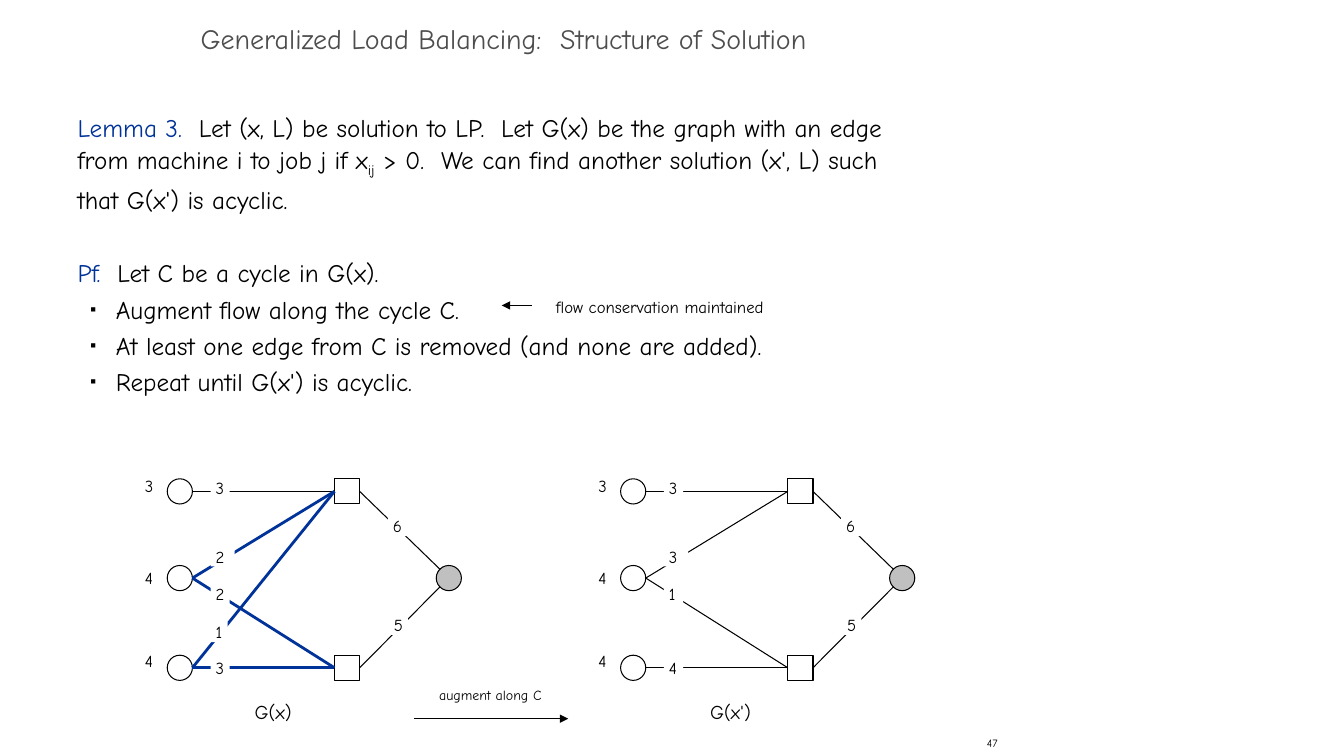
from dataclasses import dataclass

from lxml.etree import SubElement
from pptx import Presentation
from pptx.dml.color import RGBColor as RGB
from pptx.enum.shapes import MSO_CONNECTOR, MSO_SHAPE
from pptx.enum.text import MSO_ANCHOR as Anchor, MSO_AUTO_SIZE as AutoSize, PP_ALIGN as Align
from pptx.oxml.ns import qn
from pptx.util import Inches, Pt


@dataclass(frozen=True)
class Theme:
    font: str = "Comic Neue"
    ink: RGB = RGB(0x00, 0x00, 0x00)
    accent: RGB = RGB(0x00, 0x33, 0x99)
    heading: RGB = RGB(0x4D, 0x4D, 0x4D)
    sink: RGB = RGB(0xC0, 0xC0, 0xC0)
    paper: RGB = RGB(0xFF, 0xFF, 0xFF)
    title: int = 20
    body: int = 18
    caption: int = 14
    label: int = 12
    note: int = 10
    page: int = 8
    thin: float = 0.75
    thick: float = 2


theme = Theme()


def write(paragraph, text, size, color=theme.ink):
    run = paragraph.add_run()
    run.text = text
    run.font.name, run.font.size, run.font.color.rgb = theme.font, Pt(size), color
    return run


def draw_line(start, end, color=theme.ink, width=theme.thin, arrow=False):
    line = slide.shapes.add_connector(
        MSO_CONNECTOR.STRAIGHT, *(Inches(v) for v in (*start, *end)))
    line.line.color.rgb, line.line.width = color, Pt(width)
    properties = line._element.spPr
    if arrow:
        SubElement(properties.find(qn("a:ln")), qn("a:tailEnd"), type="triangle")
    SubElement(properties, qn("a:effectLst"))
    return line


deck = Presentation()
deck.slide_width, deck.slide_height = Inches(13.34), Inches(7.5)
slide = deck.slides.add_slide(deck.slide_layouts[1])

# Title
title = slide.shapes.title
title.left, title.top, title.width, title.height = (Inches(v) for v in (0, 0.17, 10, 0.5))
title.text_frame.auto_size = AutoSize.NONE
title.text_frame.vertical_anchor = Anchor.MIDDLE
heading = title.text_frame.paragraphs[0]
heading.alignment, heading.line_spacing = Align.CENTER, 0.7
write(heading, "Generalized Load Balancing:  Structure of Solution", theme.title, theme.heading)

# Lemma and proof
body = slide.placeholders[1]
body.left, body.top, body.width, body.height = (Inches(v) for v in (0.67, 1, 8.58, 5.92))
body.text_frame.auto_size = AutoSize.NONE
body.text_frame.vertical_anchor = Anchor.TOP
statements = [
    [("Lemma 3.  ", theme.accent),
     ("Let (x, L) be solution to LP.  Let G(x) be the graph with an edge "
      "from machine i to job j if x", theme.ink),
     ("ij", theme.ink),
     (" > 0.  We can find another solution (x', L) such that G(x') is acyclic.", theme.ink)],
    [("Pf.  ", theme.accent), ("Let C be a cycle in G(x).", theme.ink)],
]
steps = [
    "Augment flow along the cycle C.",
    "At least one edge from C is removed (and none are added).",
    "Repeat until G(x') is acyclic.",
]
for row, parts in enumerate(statements + [[(step, theme.ink)] for step in steps]):
    paragraph = body.text_frame.paragraphs[0] if row == 0 else body.text_frame.add_paragraph()
    is_step = row >= len(statements)
    layout = paragraph._p.get_or_add_pPr()
    layout.set("marL", str(Inches(0.38 if is_step else 0)))
    layout.set("indent", str(Inches(-0.25 if is_step else 0)))
    if is_step:
        paragraph.level = 1
        SubElement(SubElement(layout, qn("a:buClr")), qn("a:srgbClr"), val=str(theme.ink))
        SubElement(layout, qn("a:buSzPct"), val="35000")
        SubElement(layout, qn("a:buChar"), char="■")
    else:
        SubElement(layout, qn("a:buNone"))
    paragraph.line_spacing = Pt(26)
    paragraph.space_before = Pt(26 if row == 1 else 0)
    for text, color in parts:
        run = write(paragraph, text, theme.body, color)
        if text == "ij":
            run._r.get_or_add_rPr().set("baseline", "-25000")

# Graph grid: columns are relative to each graph, rows are shared
NODE = 0.25
MACHINE_X, JOB_X, SINK_X = 1.66, 3.32, 4.33
SUPPLY_X, FLOW_X = 1.34, 2.09
MACHINE_Y, JOB_Y, SINK_Y = (4.75, 5.61, 6.5), (4.75, 6.5), 5.61
supplies = [("3", 4.67), ("4", 5.58), ("4", 6.41)]
loads = [("6", 3.85, 5.12, 5.65), ("5", 3.86, 6.1, 5.82)]
flow_tags = {(0, 0): (4.74, 0.19), (1, 0): (5.42, 0.24), (1, 1): (5.79, 0.19),
             (2, 0): (6.17, 0.17), (2, 1): (6.53, 0.19)}
cycle = {(1, 0), (1, 1), (2, 0), (2, 1)}
graphs = [
    (0, {(0, 0): "3", (1, 0): "2", (1, 1): "2", (2, 0): "1", (2, 1): "3"}, cycle),
    (4.5, {(0, 0): "3", (1, 0): "3", (1, 1): "1", (2, 1): "4"}, set()),
]
labels = [
    ("G(x)", 2.43, 6.89, 0.57, 0.33, theme.caption),
    ("G(x')", 6.95, 6.89, 0.61, 0.33, theme.caption),
    ("augment along C", 4.26, 6.76, 1.22, 0.27, theme.note),
    ("flow conservation maintained", 5.42, 2.73, 2.28, 0.46, theme.label),
]
edge_tags = []

for origin, flows, bold_edges in graphs:
    nodes = [(MSO_SHAPE.OVAL, MACHINE_X, y) for y in MACHINE_Y]
    nodes += [(MSO_SHAPE.RECTANGLE, JOB_X, y) for y in JOB_Y]
    nodes.append((MSO_SHAPE.OVAL, SINK_X, SINK_Y))
    jobs = []
    for kind, x, y in nodes:
        node = slide.shapes.add_shape(
            kind, Inches(origin + x), Inches(y), Inches(NODE), Inches(NODE))
        node.shadow.inherit = False
        node.line.color.rgb, node.line.width = theme.ink, Pt(theme.thin)
        if x == SINK_X:
            node.fill.solid()
            node.fill.fore_color.rgb = theme.sink
        else:
            node.fill.background()
        if x == JOB_X:
            jobs.append(node)

    for (machine, job), flow in flows.items():
        bold = (machine, job) in bold_edges
        edge = draw_line(
            (origin + MACHINE_X + NODE, MACHINE_Y[machine] + NODE / 2),
            (origin + JOB_X, JOB_Y[job] + NODE / 2),
            theme.accent if bold else theme.ink, theme.thick if bold else theme.thin)
        edge.end_connect(jobs[job], 1)
        tag_y, tag_width = flow_tags[machine, job]
        edge_tags.append((flow, origin + FLOW_X, tag_y, tag_width))

    for job, (load, tag_x, tag_y, sink_y) in zip(jobs, loads):
        edge = draw_line((origin + SINK_X + 0.04, sink_y), (origin + JOB_X + NODE, tag_y))
        edge.end_connect(job, 3)
        edge_tags.append((load, origin + tag_x, tag_y, 0.19))

    labels += [(supply, origin + SUPPLY_X, y, 0.28, 0.3, theme.label) for supply, y in supplies]

# Edge values cover the lines beneath them
for value, x, y, width in edge_tags:
    tag = slide.shapes.add_shape(
        MSO_SHAPE.RECTANGLE, Inches(x), Inches(y), Inches(width), Inches(0.2))
    tag.shadow.inherit = False
    tag.fill.solid()
    tag.fill.fore_color.rgb = theme.paper
    tag.line.fill.background()
    frame = tag.text_frame
    frame.word_wrap, frame.auto_size = False, AutoSize.SHAPE_TO_FIT_TEXT
    frame.vertical_anchor = Anchor.TOP
    frame.margin_left = frame.margin_right = Inches(0.05)
    frame.margin_top = frame.margin_bottom = 0
    frame.paragraphs[0].alignment = Align.LEFT
    write(frame.paragraphs[0], value, theme.label)

for text, x, y, width, height, size in labels:
    label = slide.shapes.add_textbox(Inches(x), Inches(y), Inches(width), Inches(height))
    frame = label.text_frame
    frame.word_wrap, frame.auto_size = False, AutoSize.SHAPE_TO_FIT_TEXT
    if text.startswith("flow"):
        frame.paragraphs[0].line_spacing = Pt(26)
    write(frame.paragraphs[0], text, size)

draw_line((4.11, 7.13), (5.64, 7.13), arrow=True)
draw_line((5.28, 3.03), (4.98, 3.03), arrow=True)

# Slide number
page = slide.shapes.add_textbox(Inches(7.92), Inches(7.25), Inches(2.08), Inches(0.25))
page.text_frame.word_wrap = True
page.text_frame.vertical_anchor = Anchor.MIDDLE
page.text_frame.paragraphs[0].alignment = Align.RIGHT
write(page.text_frame.paragraphs[0], "47", theme.page)

deck.save("out.pptx")
